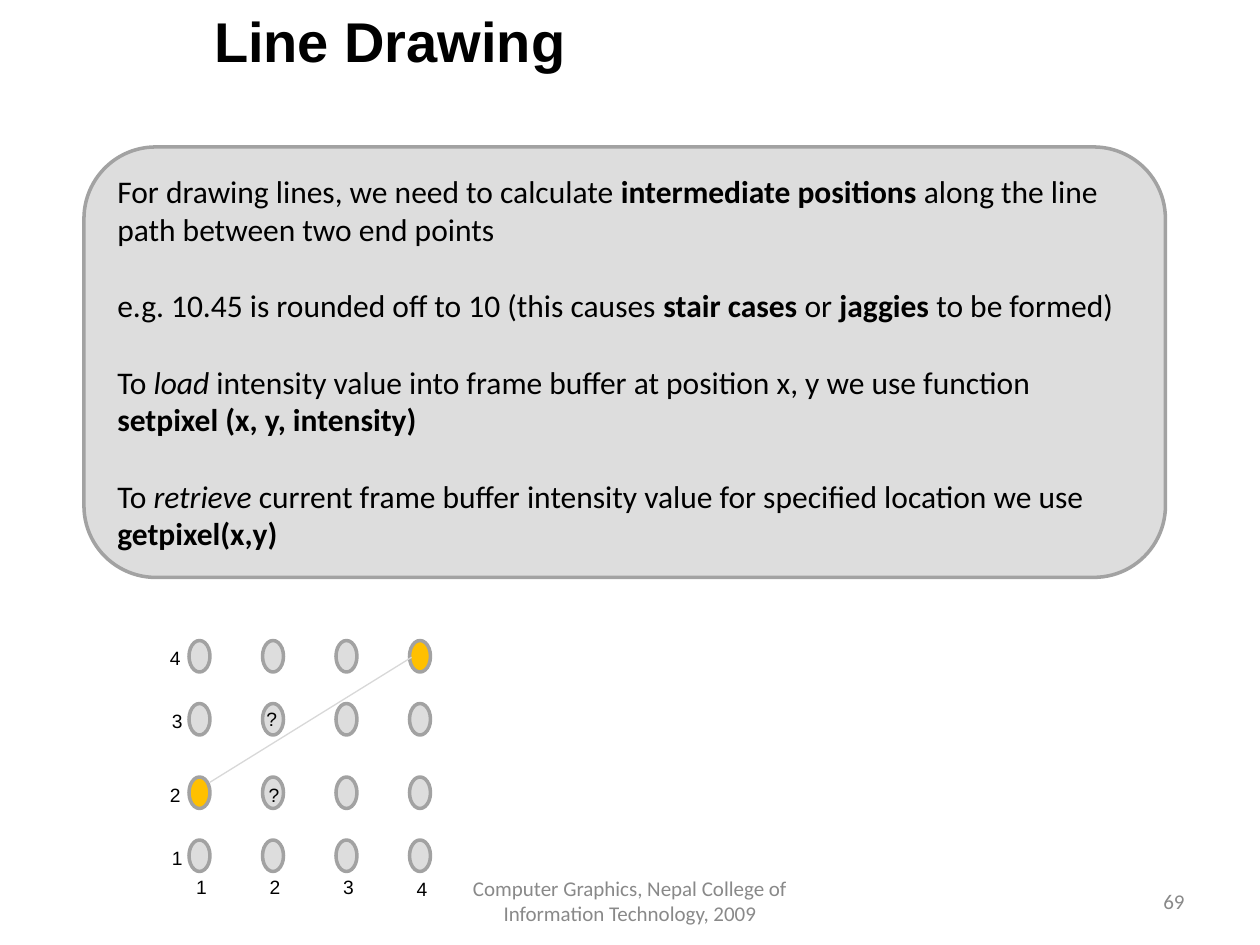
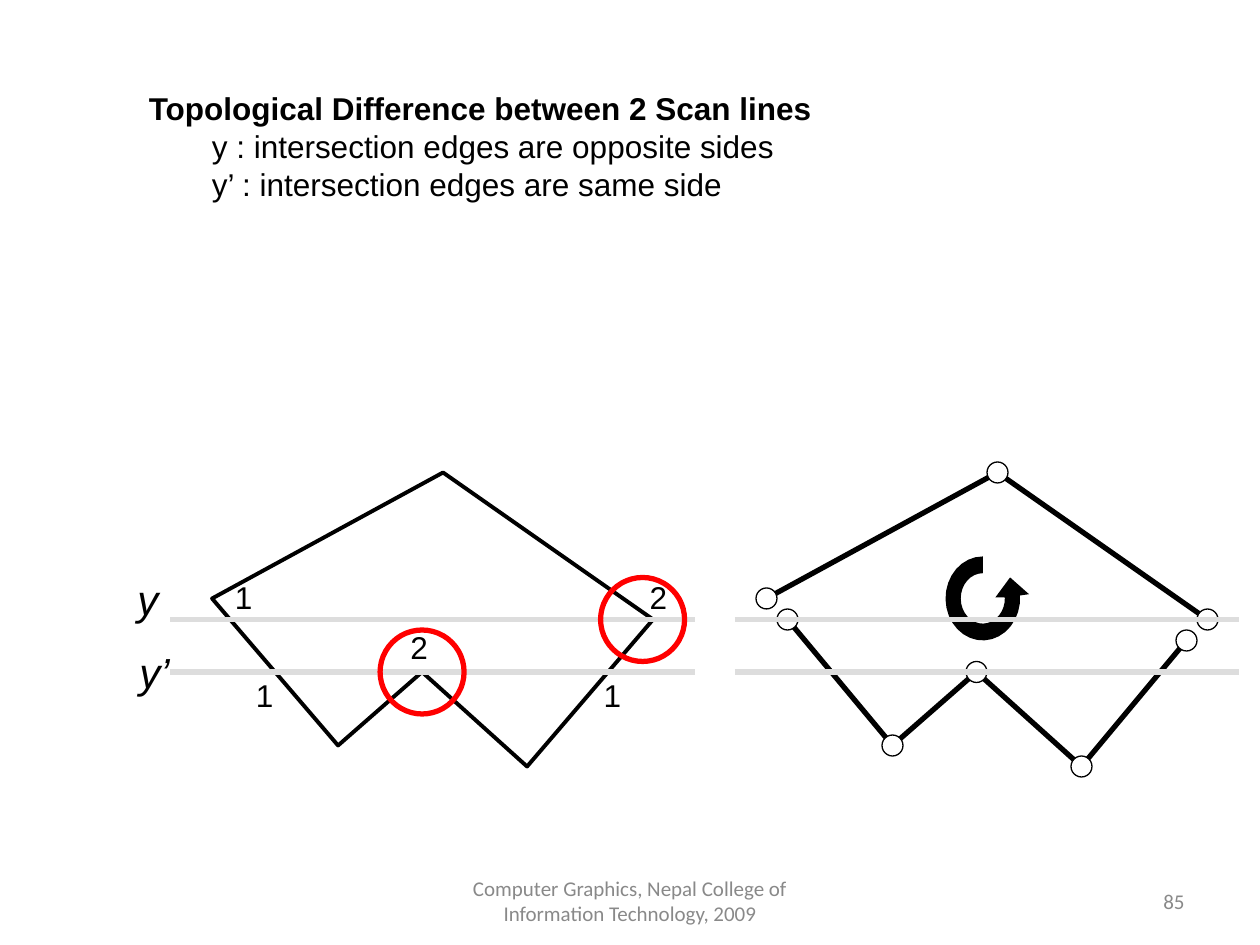
import math
from pptx import Presentation, util as u
from pptx.dml.color import RGBColor
from pptx.enum import shapes, text
from pptx.oxml.ns import qn
from lxml import etree

BLACK = RGBColor(0, 0, 0)
WHITE = RGBColor(255, 255, 255)
SILVER = RGBColor(0xDD, 0xDD, 0xDD)
PALE = RGBColor(0xD8, 0xD8, 0xD8)
EDGE = RGBColor(0xA2, 0xA2, 0xA2)
GRAY = RGBColor(0x89, 0x89, 0x89)
GOLD = RGBColor(0xFF, 0xC0, 0)
RED = RGBColor(255, 0, 0)

COLS, ROWS = 120, 90
OVAL = shapes.MSO_SHAPE.OVAL
ROUND = shapes.MSO_SHAPE.ROUNDED_RECTANGLE
LEFT, MID, RIGHT = text.PP_ALIGN.LEFT, text.PP_ALIGN.CENTER, text.PP_ALIGN.RIGHT
FOOTER = "Computer Graphics, Nepal College of Information Technology, 2009"


class Deck:
    def __init__(self):
        self.show = Presentation()
        self.show.slide_width = u.Inches(10)
        self.show.slide_height = u.Inches(7.5)
        self.slide = None

    def at(self, col, row):
        return (round(self.show.slide_width * col / COLS),
                round(self.show.slide_height * row / ROWS))

    def page(self, number):
        self.slide = self.show.slides.add_slide(self.show.slide_layouts[6])
        for box, words, align in (((41, 83.4, 38, 4.8), FOOTER, MID),
                                  ((86, 83.4, 28, 4.8), number, RIGHT)):
            self.label(box, words, 12, face="Calibri", color=GRAY,
                       align=align, wrap=True, middle=True)

    def phrase(self, para, runs, size, face, color, align=LEFT):
        para.alignment = align
        para.font.size = u.Pt(size)
        para.font.name = face
        para.font.color.rgb = color
        for words, style in runs:
            run = para.add_run()
            run.text = words
            if "b" in style:
                run.font.bold = True
            if "i" in style:
                run.font.italic = True

    def label(self, box, words, size, style="", face="Arial", color=BLACK,
              align=LEFT, wrap=False, middle=False):
        frame = self.slide.shapes.add_textbox(
            *self.at(*box[:2]), *self.at(*box[2:])).text_frame
        frame.word_wrap = wrap
        frame.vertical_anchor = (text.MSO_ANCHOR.MIDDLE if middle
                                 else text.MSO_ANCHOR.TOP)
        self.phrase(frame.paragraphs[0], [(words, style)], size, face, color, align)
        return frame

    def paint(self, shape, fill, edge, width):
        shape.shadow.inherit = False
        if fill is None:
            shape.fill.background()
        else:
            shape.fill.solid()
            shape.fill.fore_color.rgb = fill
        if edge is None:
            shape.line.fill.background()
        else:
            shape.line.color.rgb = edge
            shape.line.width = u.Pt(width)
        return shape

    def shape(self, kind, box, fill, edge, width):
        shape = self.slide.shapes.add_shape(
            kind, *self.at(*box[:2]), *self.at(*box[2:]))
        return self.paint(shape, fill, edge, width)

    def ring(self, spot, radius, fill, edge, width):
        col, row = spot
        box = col - radius, row - radius, 2 * radius, 2 * radius
        self.shape(OVAL, box, fill, edge, width)

    def outline(self, spots, close=False, fill=None, edge=BLACK, width=3):
        first, *rest = [self.at(*spot) for spot in spots]
        form = self.slide.shapes.build_freeform(*first)
        form.add_line_segments(rest, close=close)
        self.paint(form.convert_to_shape(), fill, edge, width)

    def line(self, start, end, color, width):
        line = self.slide.shapes.add_connector(
            shapes.MSO_CONNECTOR.STRAIGHT, *self.at(*start), *self.at(*end))
        line.line.color.rgb = color
        line.line.width = u.Pt(width)
        etree.SubElement(line._element.spPr, qn("a:effectLst"))

    def panel(self, box, paras):
        shape = self.shape(ROUND, box, SILVER, EDGE, 2)
        frame = shape.text_frame
        frame.word_wrap = True
        frame.vertical_anchor = text.MSO_ANCHOR.MIDDLE
        for index, (gap, runs) in enumerate(paras):
            para = frame.add_paragraph() if index else frame.paragraphs[0]
            para.space_before = u.Pt(gap)
            self.phrase(para, runs, 18, "Calibri", BLACK)


def arc(center, wide, high, start, end):
    for step in range(25):
        turn = math.radians(start + (end - start) * step / 24)
        yield (center[0] + wide * math.cos(turn),
               center[1] - high * math.sin(turn))


def drawing(deck):
    deck.page("69")
    deck.panel((8, 14, 103, 41), [
        (0, [("For drawing lines, we need to calculate ", ""),
             ("intermediate positions ", "b"),
             ("along the line path between two end points", "")]),
        (22, [("e.g. 10.45 is rounded off to 10 (this causes ", ""),
              ("stair cases ", "b"), ("or ", ""), ("jaggies", "b"),
              (" to be formed)", "")]),
        (22, [("To ", ""), ("load", "i"),
              (" intensity value into frame buffer at position x, y we use function", "")]),
        (0, [("setpixel (x, y, intensity)", "b")]),
        (22, [("To ", ""), ("retrieve", "i"),
              (" current frame buffer intensity value for specified location we use ", ""),
              ("getpixel(x,y)", "b")]),
    ])
    deck.label((19.2, 0, 35.9, 14), "Line Drawing", 32, "b")

    ends = (1, 2), (4, 4)
    tops = {4: 61, 3: 67, 2: 74, 1: 80}
    for y, top in tops.items():
        for x in range(1, 5):
            fill = GOLD if (x, y) in ends else SILVER
            deck.shape(OVAL, (11 + 7 * x, top, 2, 3), fill, EDGE, 2)
        deck.label((15 + 0.2 * (y % 2), top, 3.4, 3.5), str(y), 11)
        deck.label((10.5 + 7 * y, 83 if y == 4 else 82.8, 3.4, 3.5), str(y), 11)
    for spot in ((24.2, 66.8), (24.4, 74)):
        deck.label((*spot, 3.4, 3.5), "?", 11)
    deck.line((20, 74.5), (39.2, 62.6), PALE, 0.75)


def scans(deck):
    deck.page("85")
    frame = deck.label((13, 7.9, 95, 12),
                       "Topological Difference between 2 Scan lines",
                       18, "b", wrap=True)
    for words in ("y : intersection edges are opposite sides",
                  "y’ : intersection edges are same side"):
        para = frame.add_paragraph()
        para.level = 1
        props = para._p.get_or_add_pPr()
        props.set("marL", str(u.Inches(0.5)))
        props.set("indent", "0")
        deck.phrase(para, [(words, "")], 18, "Arial", BLACK)

    upper, lower = 59, 64
    corners = [(20.2, 57), (32.2, 71), (40.2, 64),
               (50.2, 73), (62.2, 59), (42.2, 45)]
    deck.outline(corners, close=True, width=2.25)
    for row in (lower, upper):
        deck.line((16.2, row), (66.2, row), SILVER, 3)
    deck.label((11.9, 54, 4.3, 6), "y", 24, "i", middle=True)
    deck.label((12.1, 61, 5.3, 6), "y’", 24, "i", middle=True)
    for spot in ((40.2, lower), (61.2, upper)):
        deck.ring(spot, 4, None, RED, 3)
    for col, row, count in ((23.2, 63.8, "1"), (37.9, 59.2, "2"),
                            (56.3, 63.8, "1"), (21.2, 54.5, "1"),
                            (60.7, 54.5, "2")):
        deck.label((col, row, 4.1, 4.8), count, 18)

    hub = 93.6, 57
    deck.outline([*arc(hub, 3.55, 4, 90, 364), (98, 56.6), (96.2, 55),
                  (94.8, 56.9), *arc(hub, 2.1, 2.4, 362, 90)],
                 close=True, fill=BLACK, edge=None)
    left, dip, notch, base, right, peak = [(col + 52.8, row) for col, row in corners]
    split = (75, 59), (113, 61)
    deck.outline([split[0], dip, notch, base, split[1]])
    deck.outline([right, peak, left])
    for spot in (*split, right, left, peak, dip, notch, base):
        deck.ring(spot, 1, WHITE, BLACK, 0.75)
    for row in (lower, upper):
        deck.line((70, row), (118, row), SILVER, 3)


def main():
    deck = Deck()
    drawing(deck)
    scans(deck)
    deck.show.save("out.pptx")


if __name__ == "__main__":
    main()
